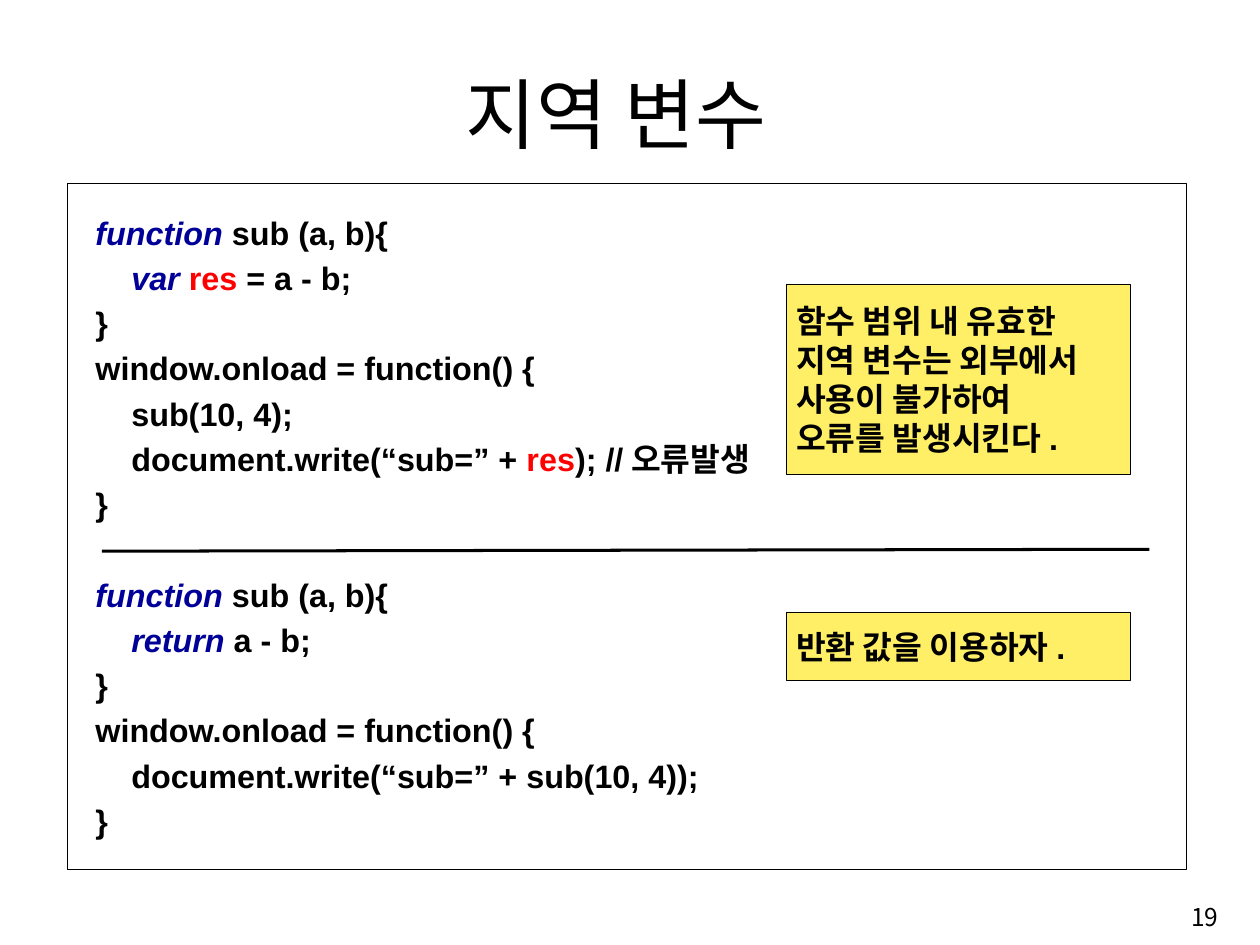
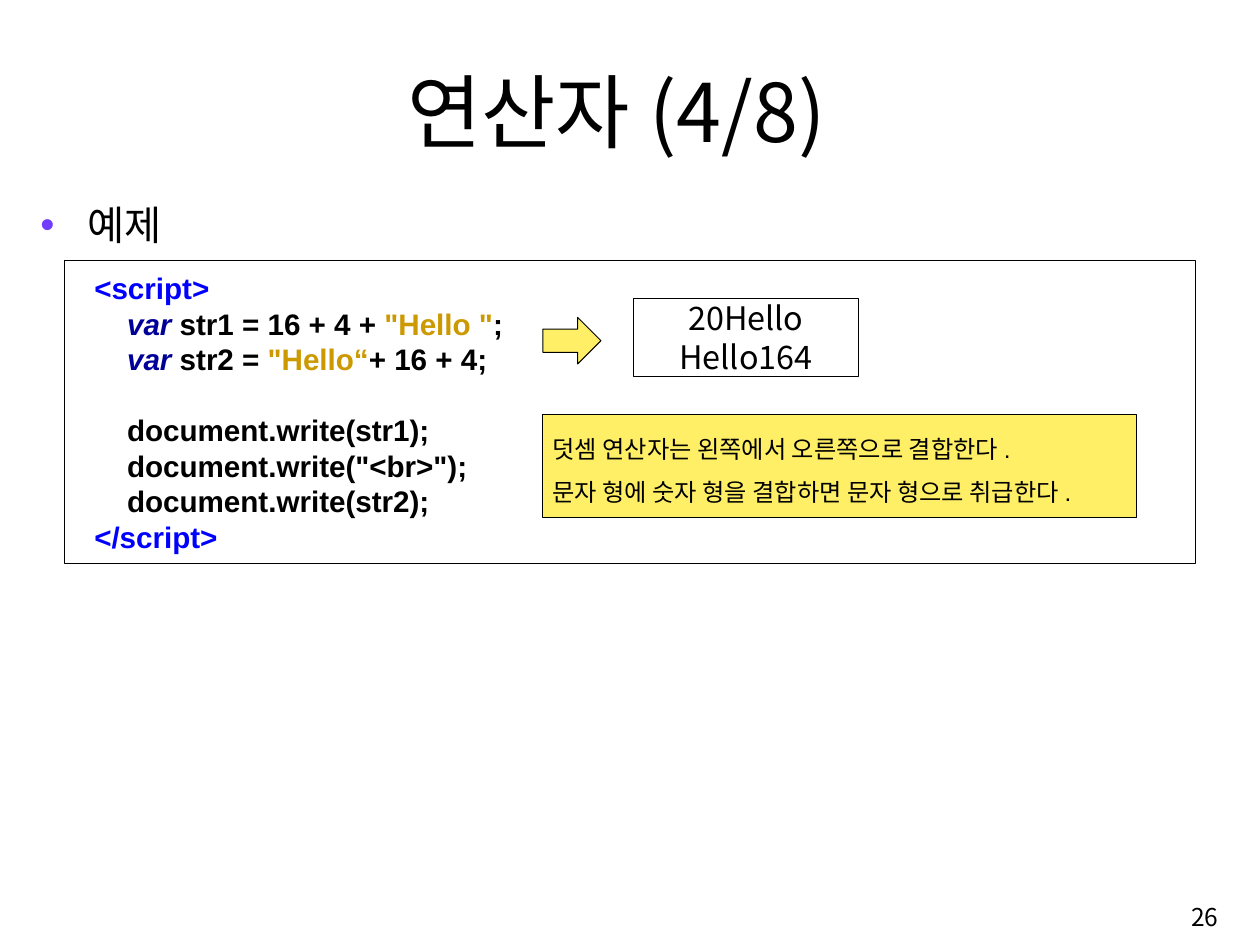
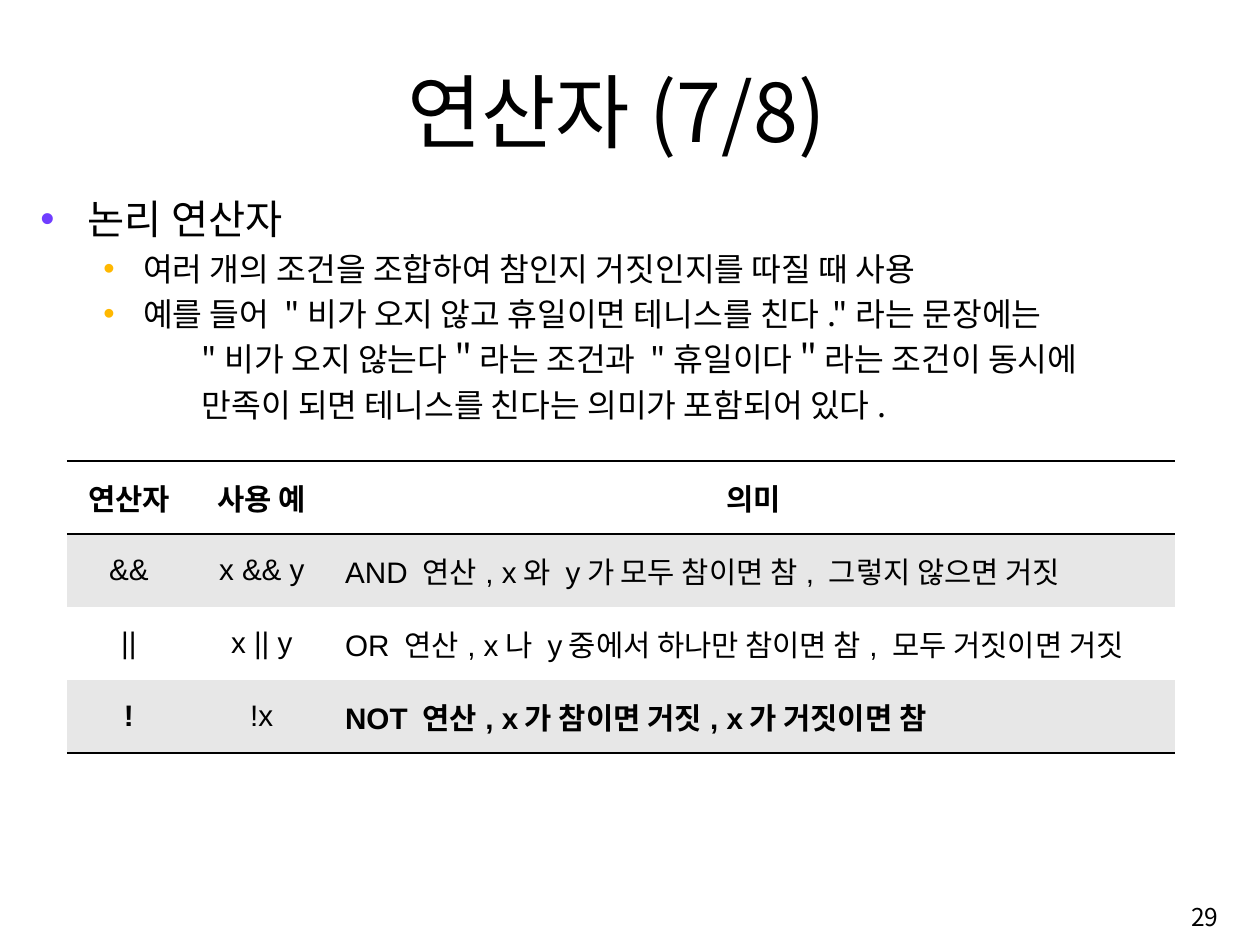
import pptx
import pptx.dml.color
import pptx.enum.shapes
import pptx.enum.text
import pptx.oxml.ns
import pptx.util
from lxml import etree

Cm, Pt = pptx.util.Cm, pptx.util.Pt
SHAPE = pptx.enum.shapes.MSO_SHAPE
ANCHOR = pptx.enum.text.MSO_ANCHOR
ALIGN = pptx.enum.text.PP_ALIGN
qn = pptx.oxml.ns.qn

# Shared look
LATIN, HANGUL = "Arial", "Noto Sans CJK KR"
BLACK, WHITE, YELLOW, STRIPE = "000000", "FFFFFF", "FFEF66", "E7E7E7"
NAVY, RED, BLUE, OCHRE = "000099", "FF0000", "0000FF", "CC9900"
BULLETS = ["703DFF", "FFB800"]
LINE_HEIGHT = 1.2   # line height per point of text size
PARA_GAP = 0.2      # space before a paragraph, same unit


def color(hex_string):
    return pptx.dml.color.RGBColor.from_string(hex_string)


def keyword(word):
    return word, NAVY, True


def write(paragraph, text, size=24, font=LATIN, ink=BLACK, bold=False,
          align=ALIGN.LEFT, leading=None, before=0, left=0, hanging=0, bullet=None):
    """Fill a paragraph; text is a string or a list of strings and (text, ink, italic)."""
    paragraph.alignment = align
    paragraph.space_before = Pt(before)
    if leading:
        paragraph.line_spacing = Pt(round(size * leading, 1))
    properties = paragraph._p.get_or_add_pPr()
    properties.set("marL", str(Cm(left)))
    properties.set("indent", str(-Cm(hanging)))
    if bullet:
        bullet_color = etree.SubElement(properties, qn("a:buClr"))
        etree.SubElement(bullet_color, qn("a:srgbClr"), val=bullet)
        etree.SubElement(properties, qn("a:buFont"), typeface=LATIN)
        etree.SubElement(properties, qn("a:buChar"), char="•")
    for piece in [text] if isinstance(text, str) else text:
        words, piece_ink, italic = (piece, ink, False) if isinstance(piece, str) else piece
        run = paragraph.add_run()
        run.text = words
        run.font.size = Pt(size)
        run.font.name = font
        run.font.bold = bold
        run.font.italic = italic
        run.font.color.rgb = color(piece_ink)
        etree.SubElement(run._r.get_or_add_rPr(), qn("a:ea"), typeface=HANGUL)


def paragraphs_of(frame, count):
    return [frame.paragraphs[0]] + [frame.add_paragraph() for _ in range(count - 1)]


def set_frame(frame, anchor, inset=(0.25, 0.13)):
    frame.word_wrap = True
    frame.vertical_anchor = anchor
    frame.margin_left = frame.margin_right = Cm(inset[0])
    frame.margin_top = frame.margin_bottom = Cm(inset[1])


def add_text(slide, box, lines, anchor=ANCHOR.TOP, **style):
    frame = slide.shapes.add_textbox(*map(Cm, box)).text_frame
    set_frame(frame, anchor)
    for paragraph, line in zip(paragraphs_of(frame, len(lines)), lines):
        write(paragraph, line, **style)
    return frame


def add_box(slide, box, lines=(), fill=None, kind=SHAPE.RECTANGLE,
            anchor=ANCHOR.MIDDLE, inset=(0.25, 0.13), **style):
    panel = slide.shapes.add_shape(kind, *map(Cm, box))
    panel.shadow.inherit = False
    if fill:
        panel.fill.solid()
        panel.fill.fore_color.rgb = color(fill)
    else:
        panel.fill.background()
    panel.line.color.rgb = color(BLACK)
    panel.line.width = Pt(0.75)
    set_frame(panel.text_frame, anchor, inset)
    if lines:
        for paragraph, line in zip(paragraphs_of(panel.text_frame, len(lines)), lines):
            write(paragraph, line, **style)
    return panel


def add_code(slide, box, lines, size, left, step, before=0, blank_before=(), **panel_style):
    """Code panel; lines are (depth, text), blank_before lists lines after an empty row."""
    frame = add_box(slide, box, **panel_style).text_frame
    for row, (paragraph, (depth, text)) in enumerate(zip(paragraphs_of(frame, len(lines)), lines)):
        empty_row = size * LINE_HEIGHT + before if row in blank_before else 0
        write(paragraph, text, size=size, bold=True, leading=LINE_HEIGHT,
              before=round(before + empty_row, 1), left=left + depth * step)


def add_bullets(slide, top, items):
    """Items are (level, text); level 2 continues a second-level item without a bullet."""
    frame = add_text(slide, (0.81, top, 31.3, 17.93), [])
    for paragraph, (level, text) in zip(paragraphs_of(frame, len(items)), items):
        size = 24 if level else 30
        write(paragraph, text, size=size, font=HANGUL, leading=LINE_HEIGHT,
              before=size * PARA_GAP, left=(1.24, 2.69, 4.22)[level],
              hanging=(1.24, 1.04, 0)[level],
              bullet=BULLETS[level] if level < 2 else None)


def add_rule(slide, start, end, width):
    rule = slide.shapes.add_connector(
        pptx.enum.shapes.MSO_CONNECTOR.STRAIGHT, *map(Cm, start + end))
    rule.line.color.rgb = color(BLACK)
    rule.line.width = Pt(width)
    etree.SubElement(rule._element.spPr, qn("a:effectLst"))


def set_borders(cell, top, bottom):
    properties = cell._tc.get_or_add_tcPr()
    edges = (("lnL", False), ("lnR", False), ("lnT", top), ("lnB", bottom))
    for position, (edge, visible) in enumerate(edges):
        line = etree.Element(qn("a:" + edge), w=str(Pt(2) if visible else 0))
        if visible:
            fill = etree.SubElement(line, qn("a:solidFill"))
            etree.SubElement(fill, qn("a:srgbClr"), val=BLACK)
        else:
            etree.SubElement(line, qn("a:noFill"))
        properties.insert(position, line)


def add_striped_table(slide, left, top, widths, row_height, rows, bold_cells):
    table = slide.shapes.add_table(
        len(rows), len(widths), Cm(left), Cm(top),
        Cm(sum(widths)), Cm(row_height * len(rows))).table
    for column, width in zip(table.columns, widths):
        column.width = Cm(width)
    last = len(rows) - 1
    for r, texts in enumerate(rows):
        table.rows[r].height = Cm(row_height)
        for c, text in enumerate(texts):
            cell = table.cell(r, c)
            cell.fill.solid()
            cell.fill.fore_color.rgb = color(STRIPE if r % 2 else WHITE)
            cell.vertical_anchor = ANCHOR.MIDDLE
            cell.margin_left = cell.margin_right = Cm(0.33)
            cell.margin_top = cell.margin_bottom = Cm(0.15)
            set_borders(cell, top=r <= 1, bottom=r in (0, last))
            write(cell.text_frame.paragraphs[0], text, size=22,
                  bold=r == 0 or (r, c) in bold_cells,
                  align=ALIGN.LEFT if r and c == 2 else ALIGN.CENTER)


def new_slide(deck, title, number, title_size=60):
    slide = deck.slides.add_slide(deck.slide_layouts[6])
    add_text(slide, (2.67, 1.55, 26.95, 2.74), [title], anchor=ANCHOR.BOTTOM,
             size=title_size, font=HANGUL, align=ALIGN.CENTER)
    add_text(slide, (25.35, 23.24, 6.81, 1.52), [str(number)], anchor=ANCHOR.MIDDLE,
             size=18.2, font=HANGUL, align=ALIGN.RIGHT)
    return slide


def local_variables(deck):
    slide = new_slide(deck, "지역 변수", 19, title_size=57.2)
    header = (0, [keyword("function"), " sub (a, b){"])
    onload = (0, "window.onload = function() {")
    close = (0, "}")
    lines = [
        header,
        (1, [keyword("var "), ("res ", RED, False), "= a - b;"]),
        close,
        onload,
        (1, "sub(10, 4);"),
        (1, ["document.write(“sub=” + ", ("res", RED, False), "); //오류발생"]),
        close,
        header,
        (1, [keyword("return "), "a - b;"]),
        close,
        onload,
        (1, "document.write(“sub=” + sub(10, 4));"),
        close,
    ]
    add_code(slide, (1.78, 4.8, 29.29, 17.96), lines, size=24, left=0.47, step=0.94,
             before=24 * PARA_GAP, blank_before=(7,))
    # Remarks beside the two versions
    remarks = [
        (7.44, 4.98, ["함수 범위 내 유효한 지역 변수는 외부에서 사용이 불가하여", "오류를 발생시킨다."]),
        (16.03, 1.78, ["반환 값을 이용하자."]),
    ]
    for top, height, remark in remarks:
        add_box(slide, (20.6, top, 9.02, height), remark, fill=YELLOW,
                bold=True, leading=LINE_HEIGHT)
    add_rule(slide, (2.67, 14.43), (30.1, 14.38), 2.25)


def string_addition(deck):
    slide = new_slide(deck, "연산자(4/8)", 26)
    add_bullets(slide, 5.11, [(0, "예제")])
    lines = [
        (0, [("<script>", BLUE, False)]),
        (1, [keyword("var "), "str1 = 16 + 4 + ", ("\"Hello \"", OCHRE, False), ";"]),
        (1, [keyword("var"), " str2 = ", ("\"Hello“", OCHRE, False), "+ 16 + 4;"]),
        (1, "document.write(str1);"),
        (1, "document.write(\"<br>\");"),
        (1, "document.write(str2);"),
        (0, [("</script>", BLUE, False)]),
    ]
    add_code(slide, (1.68, 6.83, 29.64, 7.92), lines, size=22, left=0.46, step=0.86,
             blank_before=(3,), fill=WHITE, inset=(0.33, 0.15))
    # Result and explanation
    add_box(slide, (14.22, 8.31, 1.52, 1.22), fill=YELLOW, kind=SHAPE.RIGHT_ARROW)
    add_box(slide, (16.59, 7.82, 5.89, 2.03), ["20Hello", "Hello164"], font=HANGUL,
            align=ALIGN.CENTER, leading=LINE_HEIGHT)
    add_box(slide, (14.22, 10.85, 15.54, 2.69),
            ["덧셈 연산자는 왼쪽에서 오른쪽으로 결합한다.",
             "문자 형에 숫자 형을 결합하면 문자 형으로 취급한다."],
            fill=YELLOW, anchor=ANCHOR.TOP, size=18, leading=1.5 * LINE_HEIGHT)


def logical_operators(deck):
    slide = new_slide(deck, "연산자(7/8)", 29)
    add_bullets(slide, 4.95, [
        (0, "논리 연산자"),
        (1, "여러 개의 조건을 조합하여 참인지 거짓인지를 따질 때 사용"),
        (1, "예를 들어 \"비가 오지 않고 휴일이면 테니스를 친다.\"라는 문장에는"),
        (2, "\"비가 오지 않는다＂라는 조건과 \"휴일이다＂라는 조건이 동시에"),
        (2, "만족이 되면 테니스를 친다는 의미가 포함되어 있다."),
    ])
    add_striped_table(slide, 1.75, 12.07, (3.25, 3.71, 22.07), 1.91, [
        ("연산자", "사용 예", "의미"),
        ("&&", "x && y", "AND 연산, x와 y가 모두 참이면 참, 그렇지 않으면 거짓"),
        ("||", "x || y", "OR 연산, x나 y중에서 하나만 참이면 참, 모두 거짓이면 거짓"),
        ("!", "!x", "NOT 연산, x가 참이면 거짓, x가 거짓이면 참"),
    ], bold_cells={(3, 0), (3, 2)})


def main():
    deck = pptx.Presentation()
    deck.slide_width, deck.slide_height = Cm(33), Cm(24.74)
    local_variables(deck)
    string_addition(deck)
    logical_operators(deck)
    deck.save("out.pptx")


if __name__ == "__main__":
    main()
